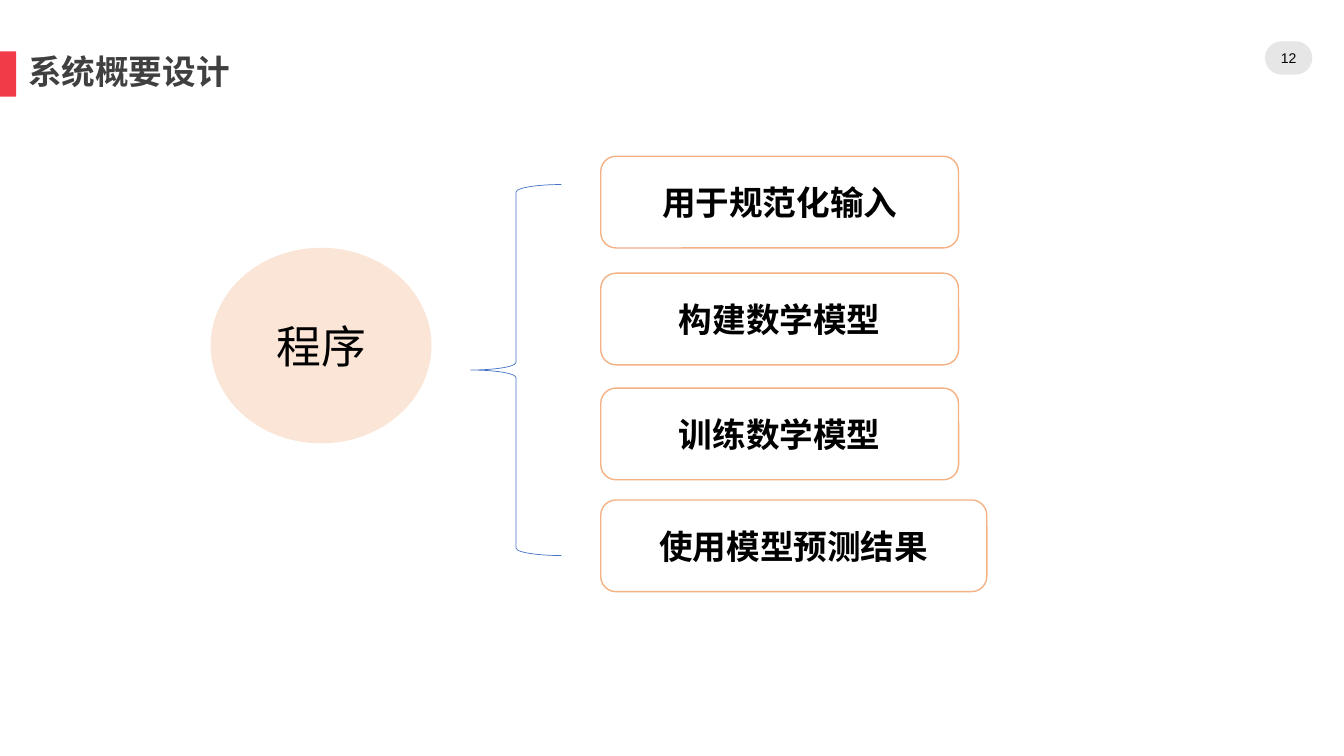
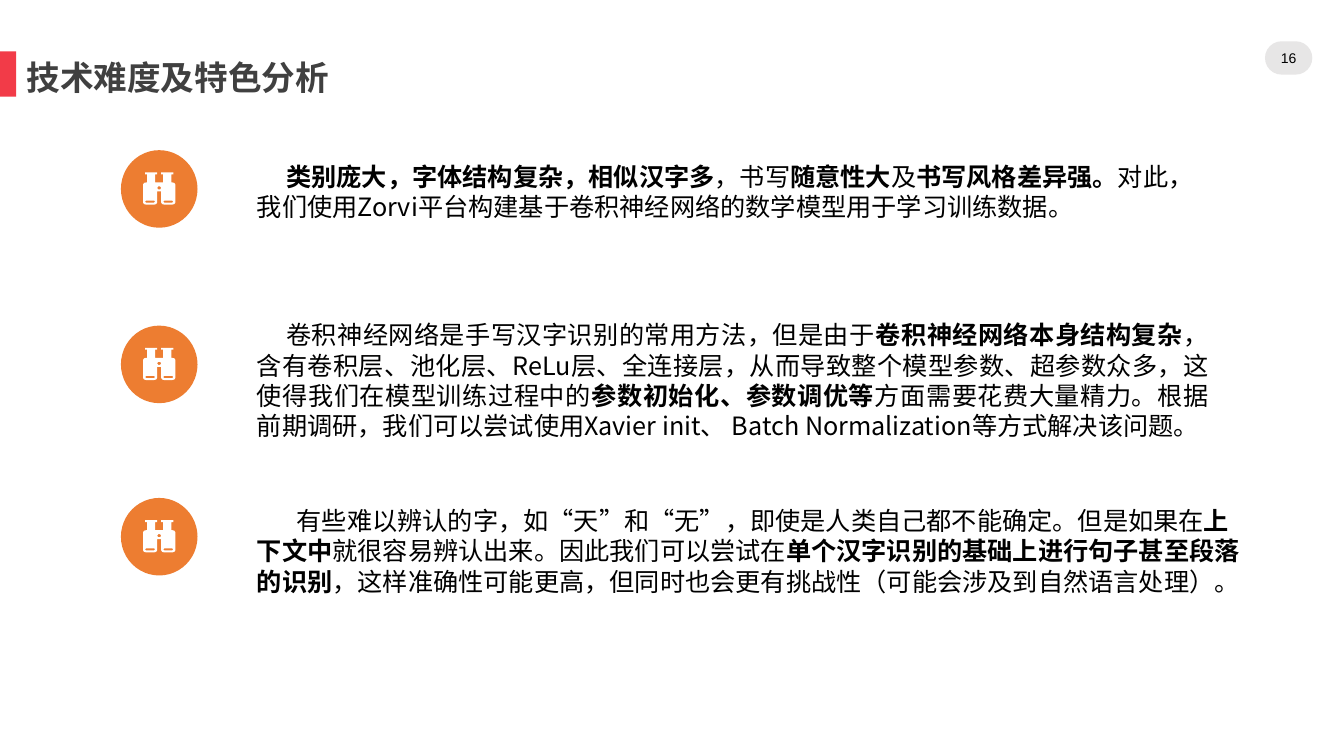
"""Build two slides: the system outline and the technical difficulties."""
import pptx
import pptx.util
import pptx.oxml.ns
import pptx.dml.color
import pptx.enum.shapes
import pptx.enum.text
import lxml.etree

Pt = pptx.util.Pt
KIND = pptx.enum.shapes.MSO_SHAPE
ALIGN = pptx.enum.text.PP_ALIGN
MID = pptx.enum.text.MSO_ANCHOR.MIDDLE
COLORS = {"red": "F23B48", "pill": "E7E6E6", "title": "404040", "text": "000000",
          "peach": "FBE5D6", "white": "FFFFFF", "edge": "F4B183",
          "brace": "4472C4", "orange": "ED7D31"}
HAN = "Noto Sans CJK SC"
TITLE = {"size": Pt(24), "bold": True, "name": HAN}
NUMBER = {"size": Pt(10), "bold": False, "name": "Arial"}
ROOT = {"size": Pt(32), "bold": False, "name": HAN}
STEP = {"size": Pt(24), "bold": True, "name": HAN}
PROSE = {"size": Pt(18), "bold": False, "name": HAN}
FLUSH = {"margin_left": 0, "margin_right": 0, "margin_top": 0, "margin_bottom": 0,
         "vertical_anchor": MID, "word_wrap": True,
         "auto_size": pptx.enum.text.MSO_AUTO_SIZE.NONE}


def draw(shapes, kind, box, fill=None, edge=None, width=1):
    """Add a preset shape with flat fill and optional outline."""
    shape = shapes.add_shape(kind, *[Pt(v) for v in box])
    shape.shadow.inherit = False
    for part, color in ((shape.fill, fill), (shape.line.fill, edge)):
        if color:
            part.solid()
            part.fore_color.rgb = pptx.dml.color.RGBColor.from_string(COLORS[color])
        else:
            part.background()
    if edge:
        shape.line.width = Pt(width)
    return shape


def write(frame, text, form, align=ALIGN.CENTER, color="text"):
    """Fill the first paragraph; text between asterisks is bold."""
    par = frame.paragraphs[0]
    par.alignment = align
    for i, part in enumerate(text.split("*")):
        if not part:
            continue
        run = par.add_run()
        run.text = part
        run.font.color.rgb = pptx.dml.color.RGBColor.from_string(COLORS[color])
        for key, value in form.items():
            setattr(run.font, key, value)
        if i % 2:
            run.font.bold = True
        props = run._r.get_or_add_rPr()
        props.set("lang", "zh-CN")
        east = lxml.etree.SubElement(props, pptx.oxml.ns.qn("a:ea"))
        east.set("typeface", form["name"])
    return par


deck = pptx.Presentation()
deck.slide_width, deck.slide_height = Pt(960), Pt(540)
layout = deck.slide_layouts[5]

pill = (903.6, 29.5, 33.8, 23.8)
slides = []
for head, number, left, top in (("系统概要设计", "12", 20, 36.7),
                                ("技术难度及特色分析", "16", 19, 41)):
    slide = deck.slides.add_slide(layout)
    title = slide.shapes.title
    title.left, title.top, title.width, title.height = Pt(left), Pt(top), Pt(301), Pt(32.4)
    label = slide.shapes.add_textbox(*[Pt(v) for v in pill])
    for frame in (title.text_frame, label.text_frame):
        for key, value in FLUSH.items():
            setattr(frame, key, value)
    par = write(title.text_frame, head, TITLE, ALIGN.LEFT, "title")
    par.line_spacing = 0.9
    write(label.text_frame, number, NUMBER)
    slides.append(slide)
outline, hurdles = [slide.shapes for slide in slides]

bar = draw(outline, KIND.RECTANGLE, (0, 36.7, 11.5, 32.4), "red")
badge = draw(outline, KIND.ROUNDED_RECTANGLE, pill, "pill")
badge.adjustments[0] = 0.5
for shape in (bar, badge):
    layout.shapes.element.append(shape.element)

root = draw(outline, KIND.OVAL, (150.5, 177, 157.7, 139.7), "peach")
root.text_frame.vertical_anchor = MID
write(root.text_frame, "程序", ROOT)
draw(outline, KIND.LEFT_BRACE, (336.2, 131.8, 64.8, 265), None, "brace", 0.5)
for text, top, width in (("用于规范化输入", 111.6, 255.6), ("构建数学模型", 195.1, 255.6),
                         ("训练数学模型", 277.2, 255.6), ("使用模型预测结果", 357.1, 275.8)):
    step = draw(outline, KIND.ROUNDED_RECTANGLE, (429.1, top, width, 65.5), "white", "edge")
    step.text_frame.vertical_anchor = MID
    write(step.text_frame, text, STEP)

half = [(32, 20), (24, 20), (24, 4), (8, 4), (8, 20), (6, 20), (2, 21), (0, 24), (0, 60),
        (2, 63), (6, 64), (22, 64), (26, 63), (28, 60), (28, 38), (32, 38)]
cap = [(4, 0), (28, 0), (28, 4), (4, 4)]
slot = [(6, 56), (22, 56), (24, 58), (22, 60), (6, 60), (4, 58)]
hub = [(30, 28), (34, 28), (36, 31), (34, 34), (30, 34), (28, 31)]
flip = [[(64 - x, y) for x, y in part] for part in (half, cap, slot)]
glass = [half + flip[0][::-1], cap, flip[1], slot, flip[2], hub]

points = (
    (111.6, 684.7, 107.3, 21, ALIGN.LEFT,
     "*类别庞大，字体结构复杂，相似汉字多*，书写*随意性大*及*书写风格差异强。*对此，"
     "我们使用Zorvi平台构建基于卷积神经网络的数学模型用于学习训练数据。"),
    (224.6, 694.1, 232.6, 21, ALIGN.JUSTIFY,
     "卷积神经网络是手写汉字识别的常用方法，但是由于*卷积神经网络本身结构复杂*，"
     "含有卷积层、池化层、ReLu层、全连接层，从而导致整个模型参数、超参数众多，"
     "这使得我们在模型训练过程中的*参数初始化、参数调优等*方面需要花费大量精力。"
     "根据前期调研，我们可以尝试使用Xavier init、 Batch Normalization等方式解决该问题。"),
    (357.1, 718.6, 355.7, 28.5, ALIGN.LEFT,
     "有些难以辨认的字，如“天”和“无”，即使是人类自己都不能确定。但是如果在*上下文中*"
     "就很容易辨认出来。因此我们可以尝试在*单个汉字识别的基础上进行句子甚至段落的识别*，"
     "这样准确性可能更高，但同时也会更有挑战性（可能会涉及到自然语言处理）。"))
for top, width, disc, indent, align, text in points:
    box = hurdles.add_textbox(Pt(176.4), Pt(top), Pt(width), Pt(72))
    box.text_frame.word_wrap = True
    par = write(box.text_frame, text, PROSE, align)
    par.line_spacing = Pt(21.7)
    par._p.get_or_add_pPr().set("indent", str(Pt(indent)))
    draw(hurdles, KIND.OVAL, (86.4, disc, 54.7, 55.4), "orange")
    pen = hurdles.build_freeform(*glass[0][0], scale=Pt(0.36))
    pen.add_line_segments(glass[0][1:])
    for part in glass[1:]:
        pen.move_to(*part[0])
        pen.add_line_segments(part[1:])
    icon = pen.convert_to_shape(Pt(102.2), Pt(disc + 15.8))
    icon.shadow.inherit = False
    icon.fill.solid()
    icon.fill.fore_color.rgb = pptx.dml.color.RGBColor.from_string(COLORS["white"])
    icon.line.fill.background()

deck.save("out.pptx")
